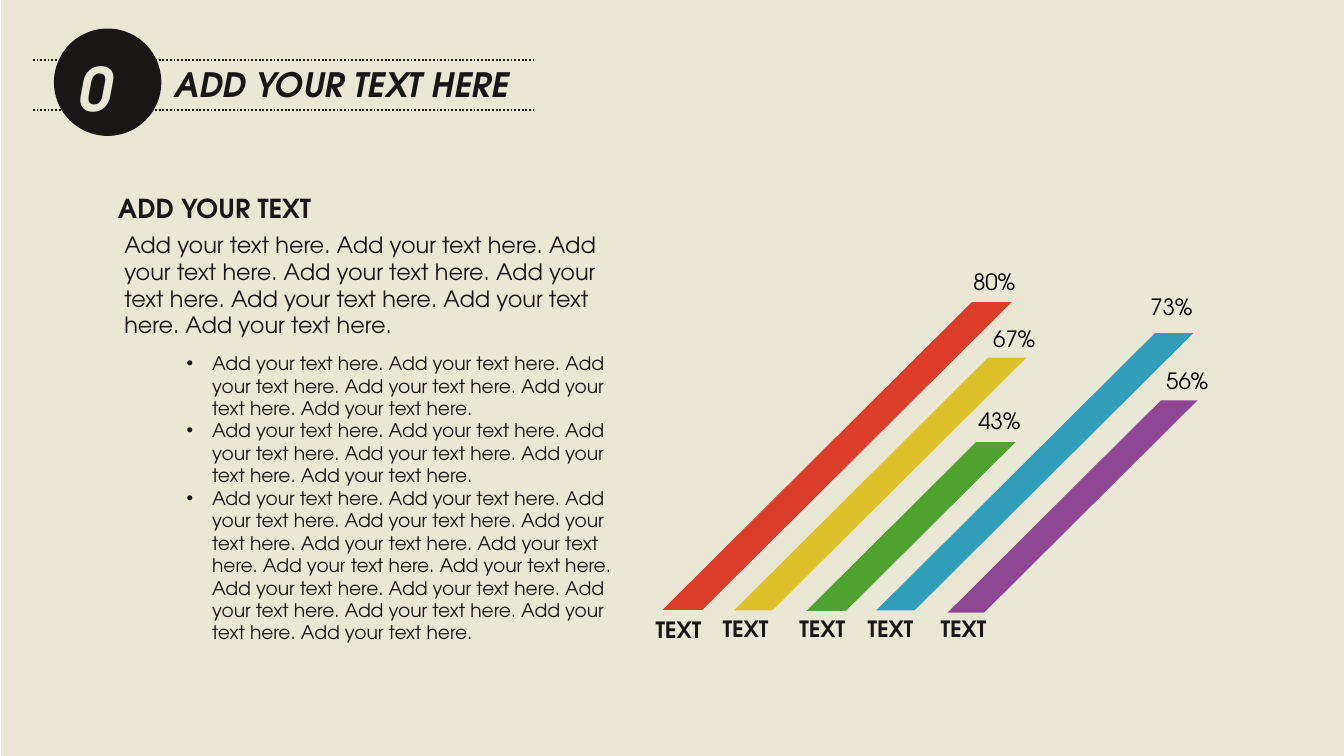
from lxml.etree import SubElement
from pptx import Presentation
from pptx.dml.color import RGBColor
from pptx.enum.dml import MSO_LINE
from pptx.enum.shapes import MSO_CONNECTOR, MSO_SHAPE
from pptx.enum.text import MSO_AUTO_SIZE
from pptx.oxml.ns import qn
from pptx.util import Cm, Pt

FONT = "TeX Gyre Adventor"
INK = RGBColor(0x18, 0x17, 0x15)
SAND = RGBColor(0xEA, 0xE7, 0xD4)
BLACK = RGBColor(0, 0, 0)
RED = RGBColor(0xDC, 0x3D, 0x2A)
GOLD = RGBColor(0xDC, 0xC1, 0x2A)
GREEN = RGBColor(0x4F, 0xA3, 0x31)
BLUE = RGBColor(0x30, 0x9E, 0xBA)
PLUM = RGBColor(0x8F, 0x46, 0x95)

TITLE = {"size": Pt(18), "bold": True, "italic": True}
NUMBER = {"size": Pt(32), "bold": True, "italic": True}
HEAD = {"size": Pt(14), "bold": True}
BODY = {"size": Pt(12)}
ITEM = {"size": Pt(10)}
NAME = {"size": Pt(12), "bold": True}

SLANT = 1.005
WORDS = "Add your text here."

# colour, bar box, value, value place, name place
BARS = [
    (RED, (12.52, 5.71, 6.6, 5.82), "80%", (18.14, 4.95), (12.14, 11.53)),
    (BLUE, (16.56, 6.3, 5.99, 5.24), "73%", (21.49, 5.41), (16.15, 11.51)),
    (GOLD, (13.87, 6.76, 5.53, 4.78), "67%", (18.52, 6.02), (13.41, 11.51)),
    (GREEN, (15.24, 8.36, 3.95, 3.19), "43%", (18.24, 7.57), (14.86, 11.51)),
    (PLUM, (17.91, 7.57, 4.72, 4.01), "56%", (21.79, 6.81), (17.53, 11.51)),
]


def repeat(count):
    return " ".join([WORDS] * count)


def style(font, form, color):
    for key, value in form.items():
        setattr(font, key, value)
    font.name = FONT
    font.color.rgb = color


def add_shape(slide, kind, box, color):
    shape = slide.shapes.add_shape(kind, *map(Cm, box))
    shape.shadow.inherit = False
    shape.fill.solid()
    shape.fill.fore_color.rgb = color
    shape.line.fill.background()
    return shape


def add_rule(slide, y):
    """Draw a dotted line across the heading at height y."""
    line = slide.shapes.add_connector(
        MSO_CONNECTOR.STRAIGHT, Cm(0.62), Cm(y), Cm(10.08), Cm(y))
    line.line.color.rgb = INK
    line.line.width = Pt(1)
    line.line.dash_style = MSO_LINE.ROUND_DOT
    SubElement(line._element.spPr, qn("a:effectLst"))


def add_text(slide, box, text, form, color=INK, wrap=False):
    frame = slide.shapes.add_textbox(*map(Cm, box)).text_frame
    frame.word_wrap = wrap
    frame.auto_size = MSO_AUTO_SIZE.SHAPE_TO_FIT_TEXT
    run = frame.paragraphs[0].add_run()
    run.text = text
    style(run.font, form, color)


def add_list(slide, box, items):
    frame = slide.shapes.add_textbox(*map(Cm, box)).text_frame
    frame.word_wrap = True
    frame.auto_size = MSO_AUTO_SIZE.SHAPE_TO_FIT_TEXT
    for index, text in enumerate(items):
        para = frame.add_paragraph() if index else frame.paragraphs[0]
        props = para._p.get_or_add_pPr()
        props.set("marL", str(Cm(0.48)))
        props.set("indent", str(-Cm(0.48)))
        SubElement(props, qn("a:buFont"), typeface="Arial")
        SubElement(props, qn("a:buChar"), char="•")
        run = para.add_run()
        run.text = text
        style(run.font, ITEM, INK)


def add_bar(slide, color, box, value, spot, foot):
    """Draw a slanted bar with its value above and its name below."""
    bar = add_shape(slide, MSO_SHAPE.PARALLELOGRAM, box, color)
    bar.adjustments[0] = SLANT
    add_text(slide, (*spot, 1.35, 0.76), value, BODY, BLACK)
    add_text(slide, (*foot, 1.52, 0.76), "TEXT", NAME)


def main():
    deck = Presentation()
    deck.slide_width, deck.slide_height = Cm(25.4), Cm(14.29)
    slide = deck.slides.add_slide(deck.slide_layouts[6])

    add_shape(slide, MSO_SHAPE.RECTANGLE, (0.02, 0, 25.38, 14.29), SAND)
    for y in (1.14, 2.08):
        add_rule(slide, y)
    add_shape(slide, MSO_SHAPE.OVAL, (1.02, 0.54, 2.03, 2.03), INK)
    add_text(slide, (3.05, 1.09, 6.83, 1.02), "ADD YOUR TEXT HERE", TITLE)
    add_text(slide, (1.24, 0.86, 1.75, 1.63), "01", NUMBER, SAND)

    add_text(slide, (1.98, 3.51, 4.42, 0.86), "ADD YOUR TEXT", HEAD)
    add_text(slide, (2.1, 4.24, 10, 2.29), repeat(8), BODY, wrap=True)
    add_list(slide, (3.28, 6.53, 8.81, 5.77), map(repeat, (6, 6, 15)))

    for bar in BARS:
        add_bar(slide, *bar)
    deck.save("out.pptx")


if __name__ == "__main__":
    main()
